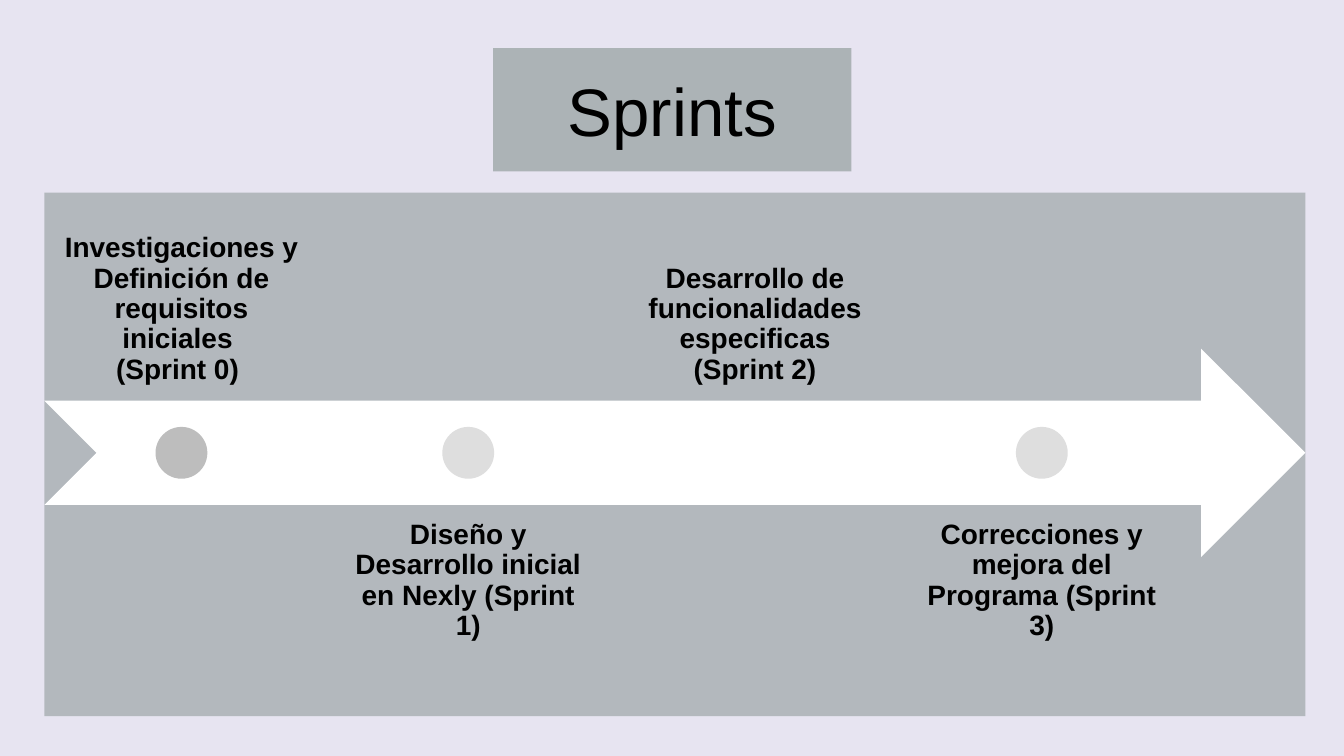
"""Build the sprint timeline slide."""
from typing import NamedTuple

from lxml.etree import SubElement
from pptx import Presentation
from pptx.dml.color import RGBColor
from pptx.enum.shapes import MSO_SHAPE as Preset
from pptx.enum.text import MSO_ANCHOR as Anchor, MSO_AUTO_SIZE as AutoSize, PP_ALIGN as Align
from pptx.oxml.ns import qn
from pptx.util import Cm, Pt

BACKGROUND = RGBColor(0xE7, 0xE4, 0xF1)
PANEL_GREY = RGBColor(0xA6, 0xAE, 0xB0)
WHITE = RGBColor(0xFF, 0xFF, 0xFF)
BLACK = RGBColor(0x00, 0x00, 0x00)
DARK_DOT = RGBColor(0xBD, 0xBD, 0xBD)
LIGHT_DOT = RGBColor(0xDE, 0xDE, 0xDE)

PANEL_LEFT, PANEL_TOP, PANEL_WIDTH, PANEL_HEIGHT = Cm(0.84), Cm(3.64), Cm(23.83), Cm(9.9)
BAND_HEIGHT = Cm(3.94)
ARROW_TOP = Cm(6.59)
LOWER_LABEL_TOP = Cm(9.54)
LABEL_WIDTH = Cm(5.18)
STEP = Cm(5.42)
DOT_SIZE = Cm(0.98)
LABEL_INSET = Cm(0.3)


class Sprint(NamedTuple):
    label: str
    dot_color: RGBColor


SPRINTS = (
    Sprint("Investigaciones y Definición de requisitos iniciales \n(Sprint 0) ", DARK_DOT),
    Sprint("Diseño y Desarrollo inicial en Nexly (Sprint 1)", LIGHT_DOT),
    Sprint("Desarrollo de funcionalidades especificas (Sprint 2)", WHITE),
    Sprint("Correcciones y mejora del Programa (Sprint 3)", LIGHT_DOT),
)


def fill_shape(shape, color: RGBColor, opacity: int = 100) -> None:
    shape.fill.solid()
    shape.fill.fore_color.rgb = color
    if opacity < 100:
        color_element = shape.fill._xPr.find(qn("a:solidFill"))[0]
        SubElement(color_element, qn("a:alpha")).set("val", str(opacity * 1000))


def add_preset(slide, preset: Preset, left: int, top: int, width: int, height: int,
               color: RGBColor, opacity: int = 100) -> None:
    shape = slide.shapes.add_shape(preset, left, top, width, height)
    shape.shadow.inherit = False
    shape.line.fill.background()
    fill_shape(shape, color, opacity)


def format_text(text_frame, size: int, bold: bool) -> None:
    paragraph = text_frame.paragraphs[0]
    paragraph.alignment = Align.CENTER
    for run in paragraph.runs:
        run.font.name = "Arial"
        run.font.size = Pt(size)
        run.font.bold = bold
        run.font.color.rgb = BLACK


def set_title(slide) -> None:
    title = slide.shapes.title
    title.left, title.top, title.width, title.height = Cm(9.32), Cm(0.91), Cm(6.77), Cm(2.33)
    fill_shape(title, PANEL_GREY, 90)
    title.text_frame.text = "Sprints"
    title.text_frame.vertical_anchor = Anchor.MIDDLE
    title.text_frame.auto_size = AutoSize.NONE
    format_text(title.text_frame, 36, False)


def add_sprint(slide, index: int, sprint: Sprint) -> None:
    is_upper = index % 2 == 0
    left = PANEL_LEFT + index * STEP
    top = PANEL_TOP if is_upper else LOWER_LABEL_TOP
    text_frame = slide.shapes.add_textbox(left, top, LABEL_WIDTH, BAND_HEIGHT).text_frame
    text_frame.word_wrap = True
    text_frame.vertical_anchor = Anchor.BOTTOM if is_upper else Anchor.TOP
    text_frame.margin_left = text_frame.margin_right = LABEL_INSET
    text_frame.margin_top = text_frame.margin_bottom = LABEL_INSET
    paragraph = text_frame.paragraphs[0]
    paragraph.text = sprint.label
    paragraph.line_spacing = 0.9
    format_text(text_frame, 15, True)
    add_preset(slide, Preset.OVAL, left + (LABEL_WIDTH - DOT_SIZE) // 2,
               ARROW_TOP + (BAND_HEIGHT - DOT_SIZE) // 2, DOT_SIZE, DOT_SIZE, sprint.dot_color)


def main() -> None:
    presentation = Presentation()
    presentation.slide_width, presentation.slide_height = Cm(25.4), Cm(14.29)
    slide = presentation.slides.add_slide(presentation.slide_layouts[5])
    slide.background.fill.solid()
    slide.background.fill.fore_color.rgb = BACKGROUND
    set_title(slide)
    add_preset(slide, Preset.RECTANGLE, PANEL_LEFT, PANEL_TOP, PANEL_WIDTH, PANEL_HEIGHT,
               PANEL_GREY, 80)
    add_preset(slide, Preset.NOTCHED_RIGHT_ARROW, PANEL_LEFT, ARROW_TOP, PANEL_WIDTH,
               BAND_HEIGHT, WHITE)
    for index, sprint in enumerate(SPRINTS):
        add_sprint(slide, index, sprint)
    presentation.save("out.pptx")


if __name__ == "__main__":
    main()
